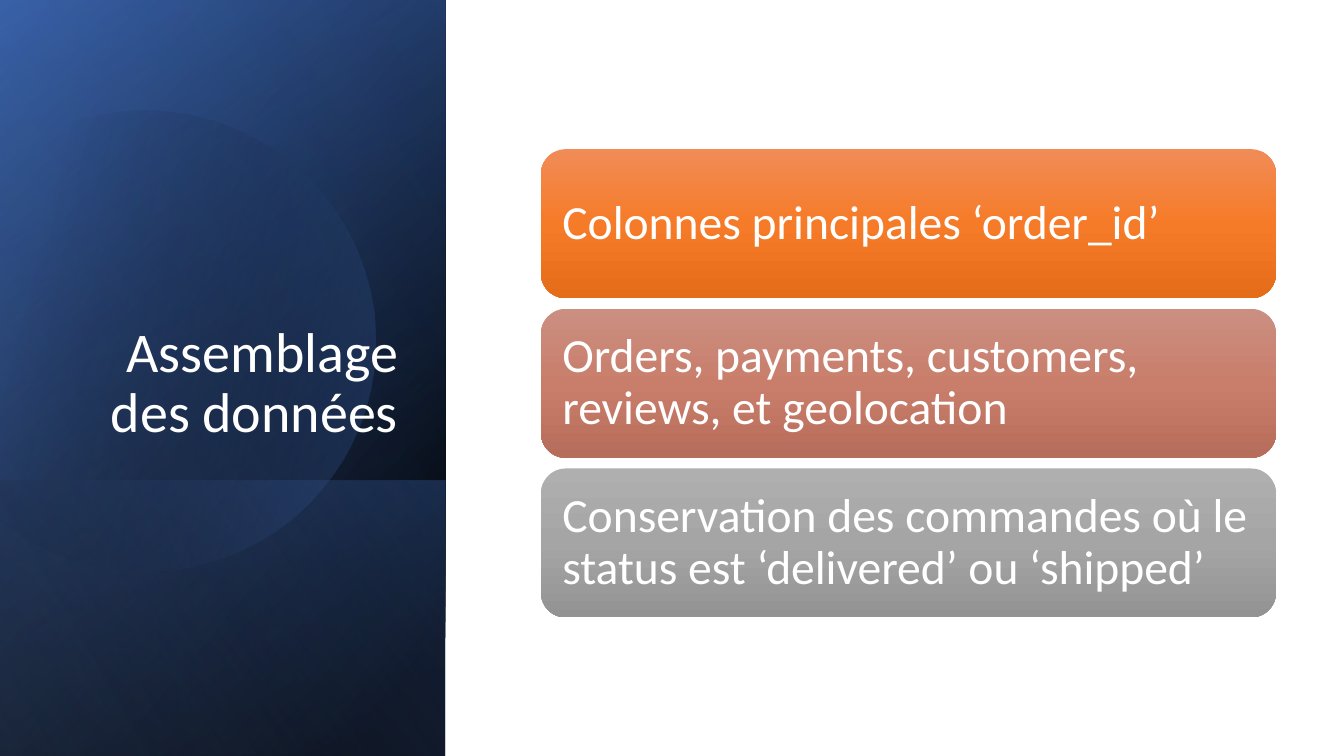
from math import cos, radians, sin

from lxml.etree import SubElement
from pptx import Presentation
from pptx.dml.color import RGBColor
from pptx.enum.shapes import MSO_SHAPE
from pptx.enum.text import MSO_ANCHOR, PP_ALIGN
from pptx.oxml.ns import qn
from pptx.util import Inches, Pt

THEME = {
    "font": "Calibri",
    "text": RGBColor(0xFF, 0xFF, 0xFF),
    "title_size": Pt(40),
    "body_size": Pt(34),
    "black": "000000",
    "navy": "2F5597",
    "blue": "4472C4",
    "pale_blue": "8FAADC",
    "orange": ("F18C57", "F67B28", "E56C19"),
    "terracotta": ("CB8F81", "C97E6B", "B76D5B"),
    "grey": ("AFAFAF", "A5A5A5", "939393"),
}

deck = Presentation()
deck.slide_width, deck.slide_height = Inches(13.33), Inches(7.5)
slide = deck.slides.add_slide(deck.slide_layouts[6])
shapes = slide.shapes

# Grid: one hundred columns by one hundred rows
COL, ROW = deck.slide_width / 100, deck.slide_height / 100
PANEL_WIDTH = 33.15 * COL


def paint_gradient(shape, stops, angle):
    """Fill with (position %, colour, opacity %) stops, without line or shadow."""
    shape.shadow.inherit = False
    shape.line.fill.background()
    shape.fill.gradient()
    gradient = shape._element.spPr.find(qn("a:gradFill"))
    for child in list(gradient):
        gradient.remove(child)
    gradient.set("rotWithShape", "1")
    stop_list = SubElement(gradient, qn("a:gsLst"))
    for position, colour, opacity in stops:
        stop = SubElement(stop_list, qn("a:gs"), pos=str(position * 1000))
        tint = SubElement(stop, qn("a:srgbClr"), val=colour)
        if opacity < 100:
            SubElement(tint, qn("a:alpha"), val=str(opacity * 1000))
    SubElement(gradient, qn("a:lin"), ang=str(angle * 60000), scaled="0")


def add_panel(top_row, stops, angle):
    """Cover the left panel from top_row down with a mirrored, quarter-turned sheet."""
    length = (100 - top_row) * ROW
    left = (PANEL_WIDTH - length) / 2
    top = top_row * ROW + (length - PANEL_WIDTH) / 2
    panel = shapes.add_shape(
        MSO_SHAPE.RECTANGLE, int(left), int(top), int(length), int(PANEL_WIDTH))
    panel.rotation = 90
    panel._element.spPr.find(qn("a:xfrm")).set("flipH", "1")
    paint_gradient(panel, stops, angle)


# Left panel: layered gradients with a faint disc
black, blue = THEME["black"], THEME["blue"]
for top_row, stops, angle in (
    (0, ((8, black, 100), (100, THEME["navy"], 100)), 50),
    (0, ((0, black, 0), (99, blue, 46)), 30),
    (63.5, ((2, blue, 29), (100, black, 30)), 130),
):
    add_panel(top_row, stops, angle)

# The disc is cut by a chord; its corner points are then joined by one arc
disc_x, disc_y, disc_radius = 10.77 * COL, 44.6 * ROW, 30.47 * ROW
disc_tilt, half_arc = 16.1, 134.1
arc_start, arc_end = disc_tilt - half_arc, disc_tilt + half_arc
rim = [
    (int(disc_x + disc_radius * cos(radians(degree))),
     int(disc_y + disc_radius * sin(radians(degree))))
    for degree in (arc_start, -90, 0, 90, arc_end)
]
outline = shapes.build_freeform(*rim[0])
outline.add_line_segments(rim[1:], close=True)
disc = outline.convert_to_shape()
disc.rotation = 360 - disc_tilt
first_edge, *other_edges = list(disc._element.iter(qn("a:lnTo")))
contour = first_edge.getparent()
for edge in other_edges:
    contour.remove(edge)
arc = SubElement(
    contour, qn("a:arcTo"), wR=str(int(disc_radius)), hR=str(int(disc_radius)),
    stAng=str(round(arc_start * 60000)), swAng=str(round(2 * half_arc * 60000)))
contour.replace(first_edge, arc)
paint_gradient(disc, ((29, black, 0), (100, blue, 43)), 30)

add_panel(0, ((0, black, 0), (99, THEME["pale_blue"], 11)), 120)

# Title and the three steps
title = shapes.add_textbox(
    int(4.77 * COL), int(24.6 * ROW), int(25.58 * COL), int(34.93 * ROW))
texts = [(title, "Assemblage des données", THEME["title_size"],
          PP_ALIGN.RIGHT, {"vertical_anchor": MSO_ANCHOR.BOTTOM})]

step_top, step_pitch, step_height = 19.73, 21.12, 19.7
step_frame = {"vertical_anchor": MSO_ANCHOR.MIDDLE}
for side in ("left", "top", "right", "bottom"):
    step_frame["margin_" + side] = Inches(0.14)

for index, (wording, tones) in enumerate((
    ("Colonnes principales ‘order_id’", "orange"),
    ("Orders, payments, customers, reviews, et geolocation", "terracotta"),
    ("Conservation des commandes où le status est ‘delivered’ ou ‘shipped’", "grey"),
)):
    step = shapes.add_shape(
        MSO_SHAPE.ROUNDED_RECTANGLE, int(40.25 * COL),
        int((step_top + index * step_pitch) * ROW),
        int(54.69 * COL), int(step_height * ROW))
    paint_gradient(step, [(50 * i, tone, 100) for i, tone in enumerate(THEME[tones])], 90)
    texts.append((step, wording, THEME["body_size"], PP_ALIGN.LEFT, step_frame))

for holder, wording, size, alignment, frame_format in texts:
    frame = holder.text_frame
    frame.word_wrap = True
    for attribute, value in frame_format.items():
        setattr(frame, attribute, value)
    paragraph = frame.paragraphs[0]
    paragraph.alignment, paragraph.line_spacing = alignment, 0.9
    run = paragraph.add_run()
    run.text = wording
    run.font.name, run.font.size = THEME["font"], size
    run.font.color.rgb = THEME["text"]

deck.save("out.pptx")
